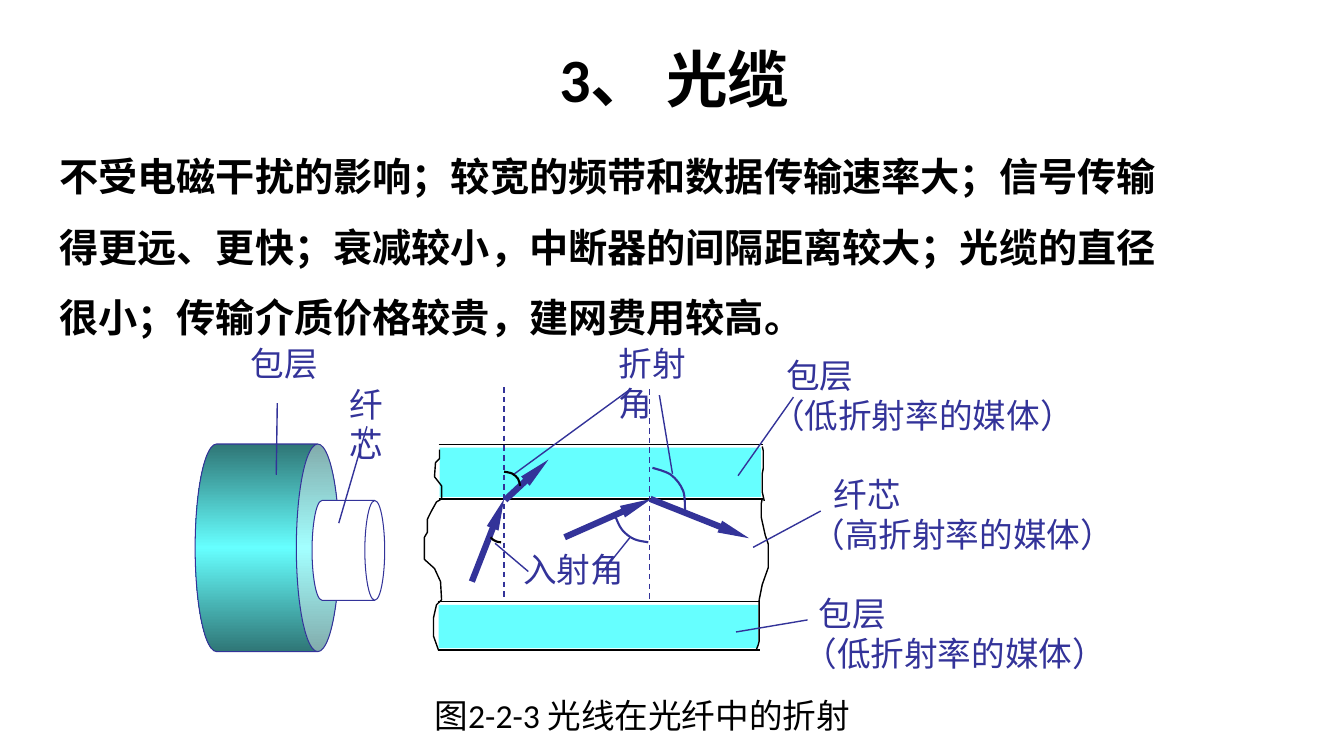
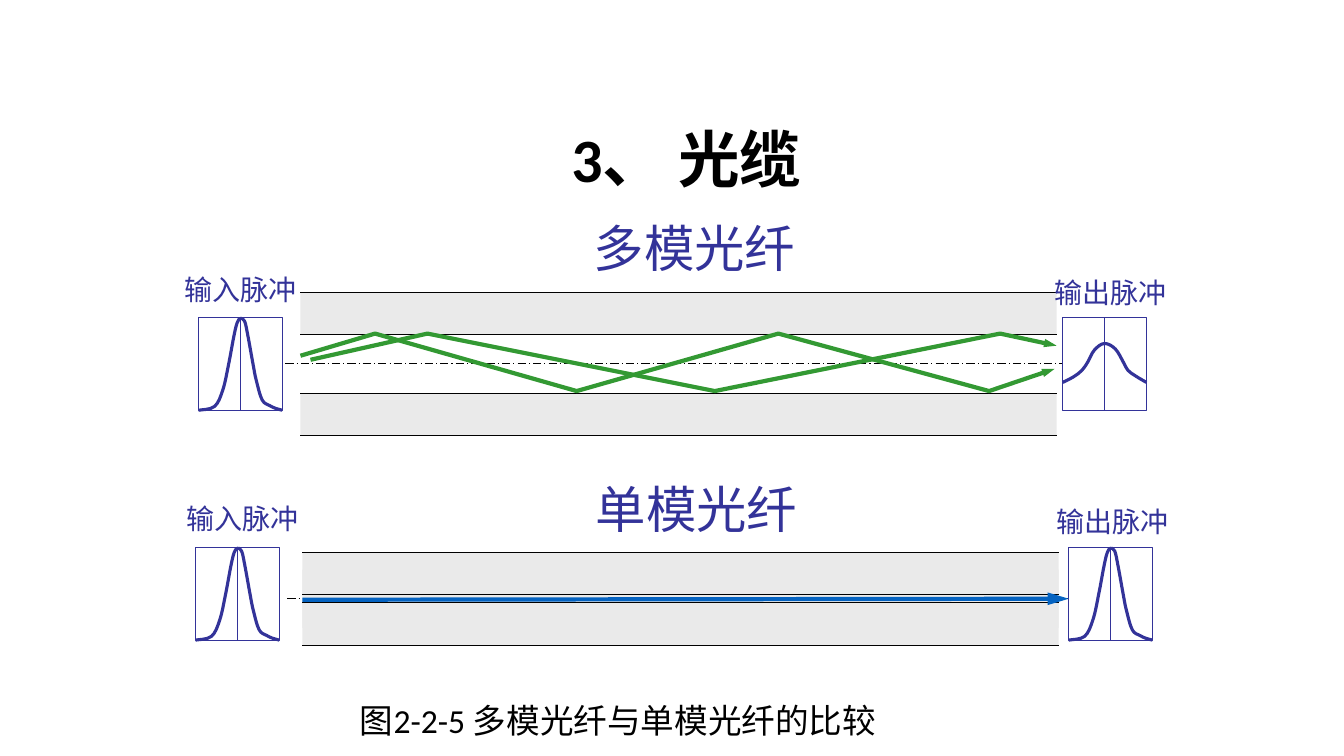
from copy import deepcopy
from dataclasses import dataclass
from math import cos, radians, sin

from lxml import etree
from pptx import Presentation
from pptx.dml.color import RGBColor
from pptx.enum.dml import MSO_LINE
from pptx.enum.shapes import MSO_CONNECTOR, MSO_SHAPE
from pptx.enum.text import MSO_ANCHOR, PP_ALIGN
from pptx.oxml.ns import qn
from pptx.util import Inches, Pt

BLACK = RGBColor(0x00, 0x00, 0x00)
WHITE = RGBColor(0xFF, 0xFF, 0xFF)
INDIGO = RGBColor(0x33, 0x33, 0x99)
CYAN = RGBColor(0x66, 0xFF, 0xFF)
DARK_TEAL = RGBColor(0x2F, 0x76, 0x76)
CLADDING_GREY = RGBColor(0xEA, 0xEA, 0xEA)
RAY_GREEN = RGBColor(0x33, 0x99, 0x33)
RAY_BLUE = RGBColor(0x05, 0x63, 0xC1)

STRAIGHT = MSO_CONNECTOR.STRAIGHT
RECTANGLE, CAN = MSO_SHAPE.RECTANGLE, MSO_SHAPE.CAN
DASH, LONG_DASH_DOT = MSO_LINE.DASH, MSO_LINE.LONG_DASH_DOT
BOTTOM, TOP = MSO_ANCHOR.BOTTOM, MSO_ANCHOR.TOP
CENTER, LEFT = PP_ALIGN.CENTER, PP_ALIGN.LEFT
TITLE_ONLY = 5

# Arrowhead width and length
SLIM_LONG, SLIM, LONG = ("sm", "lg"), ("sm", "med"), ("med", "lg")

HEADING = "3、 光缆"
FEATURES = ("不受电磁干扰的影响；较宽的频带和数据传输速率大；信号传输得更远、更快；"
            "衰减较小，中断器的间隔距离较大；光缆的直径很小；传输介质价格较贵，建网费用较高。")

# Pulse outlines as shares of the pulse frame
NARROW_PULSE = [(0, 1), (.19, .96), (.29, .78), (.36, .5), (.42, .21), (.46, .06), (.5, .01),
                (.55, .04), (.59, .2), (.65, .5), (.69, .68), (.76, .89), (.85, .95),
                (.92, .98), (1, 1)]
WIDE_PULSE = [(0, .7), (.13, .64), (.23, .57), (.3, .48), (.38, .35), (.5, .28), (.63, .34),
              (.73, .49), (.78, .57), (.87, .63), (1, .7)]

# Inches from the corner of the refraction diagram
TORN_EDGES = [
    [(.16, .66), (.16, .75), (.12, .79), (.11, .93), (.18, 1.02), (.18, 1.15), (.13, 1.18),
     (.08, 1.27), (.04, 1.35), (.04, 1.48), (.01, 1.53), (.01, 1.75), (.11, 1.84), (.17, 1.97),
     (.18, 2.15), (.13, 2.2), (.1, 2.33), (.1, 2.51), (.15, 2.65)],
    [(3.36, .63), (3.37, .67), (3.37, .85), (3.36, .9), (3.36, 1.08), (3.38, 1.17)],
    [(3.36, 1.15), (3.35, 1.2), (3.35, 1.33), (3.39, 1.51), (3.42, 1.6), (3.42, 1.83),
     (3.36, 2), (3.33, 2.15)],
    [(3.33, 2.15), (3.33, 2.56), (3.32, 2.6), (3.3, 2.65)]]
NORMALS = [((.8, .04), (.8, 2.15)), ((2.24, .06), (2.24, 2.17))]
LIGHT_RAYS = [((.81, 1.16), (1.24, .76)), ((.48, 1.97), (.8, 1.15)),
              ((1.4, 1.53), (2.26, 1.15)), ((2.25, 1.15), (3.23, 1.54))]
LEADERS = [((2.34, .12), (2.47, .9)), ((.89, .91), (2.04, .07)), ((.71, 1.59), (1.04, 1.87)),
           ((1.77, 1.88), (2.05, 1.53)), ((3.27, 1.63), (3.94, 1.27)),
           ((3.67, .14), (3.12, .92)), ((3.81, 2.35), (3.1, 2.47))]
# Centre, radii, start and end angle, colour
ANGLE_ARCS = [((.8, 1.02), (.16, .14), -90, 0, BLACK), ((.77, 1.48), (.12, .1), 90, 150, BLACK),
              ((2.23, 1.23), (.34, .35), 90, 165, INDIGO),
              ((2.24, 1.2), (.36, .36), -85, 10, INDIGO)]


@dataclass
class Box:
    left: float
    top: float
    width: float
    height: float

    def point(self, x, y):
        """Point at an offset in inches from the corner."""
        return self.left + x, self.top + y

    def inner(self, x, y, width, height):
        return Box(*self.point(x, y), width, height)

    def emu(self):
        return [Inches(value) for value in (self.left, self.top, self.width, self.height)]


def style_line(line, color, width, dash=None, arrow=None):
    line.color.rgb = color
    line.width = Pt(width)
    if dash is not None:
        line.dash_style = dash
    if arrow is not None:
        etree.SubElement(line._get_or_add_ln(), qn("a:tailEnd"), type="triangle",
                         w=arrow[0], len=arrow[1])


def add_line(slide, start, end, color, width, dash=None, arrow=None):
    connector = slide.shapes.add_connector(
        STRAIGHT, *[Inches(value) for value in (*start, *end)])
    style_line(connector.line, color, width, dash, arrow)
    etree.SubElement(connector._element.spPr, qn("a:effectLst"))
    return connector


def bend_segments(shape):
    """Turn the straight segments of an outline into one smooth curve."""
    nodes = shape._element.xpath(".//a:path/a:moveTo/a:pt | .//a:path/a:lnTo/a:pt")
    points = [(int(node.get("x")), int(node.get("y"))) for node in nodes]
    padded = [points[0], *points, points[-1]]
    for node, before, start, end, after in zip(nodes[1:], padded, padded[1:], padded[2:],
                                               padded[3:]):
        segment = node.getparent()
        curve = etree.Element(qn("a:cubicBezTo"))
        controls = ([p + (r - o) / 6 for o, p, r in zip(before, start, end)],
                    [r - (s - p) / 6 for p, r, s in zip(start, end, after)])
        for x, y in (*controls, end):
            etree.SubElement(curve, qn("a:pt"), x=str(round(x)), y=str(round(y)))
        segment.getparent().replace(segment, curve)


def add_outline(slide, points, color, width, arrow=None, smooth=False):
    first, *rest = [(Inches(x), Inches(y)) for x, y in points]
    builder = slide.shapes.build_freeform(*first)
    builder.add_line_segments(rest, close=False)
    shape = builder.convert_to_shape()
    shape.shadow.inherit = False
    shape.fill.background()
    style_line(shape.line, color, width, arrow=arrow)
    if smooth:
        bend_segments(shape)


def add_preset(slide, kind, box, fill, line=None, line_width=0.75):
    shape = slide.shapes.add_shape(kind, *box.emu())
    shape.shadow.inherit = False
    shape.fill.solid()
    shape.fill.fore_color.rgb = fill
    if line is None:
        shape.line.fill.background()
    else:
        style_line(shape.line, line, line_width)
    return shape


def write(frame, lines, size, font, color, bold=False, align=LEFT, spacing=None,
          anchor=TOP, first_indent=0, wrap=True):
    frame.word_wrap = wrap
    frame.vertical_anchor = anchor
    frame.text = "\n".join(lines)
    for paragraph in frame.paragraphs:
        paragraph.alignment = align
        paragraph.line_spacing = spacing
        paragraph.font.size = Pt(size)
        paragraph.font.name = font
        paragraph.font.bold = bold
        paragraph.font.color.rgb = color
    if first_indent:
        frame.paragraphs[0]._p.get_or_add_pPr().set("marL", str(Inches(first_indent)))


def add_text(slide, box, lines, size=24, font="Arial", color=INDIGO, **options):
    textbox = slide.shapes.add_textbox(*box.emu())
    write(textbox.text_frame, lines, size, font, color, **options)


def add_figure_slide(presentation, caption, caption_box, heading_box):
    """Slide with a bold heading and a figure caption in the title placeholder."""
    slide = presentation.slides.add_slide(presentation.slide_layouts[TITLE_ONLY])
    title = slide.shapes.title
    title.left, title.top, title.width, title.height = caption_box.emu()
    write(title.text_frame, [caption], 24, "Calibri", BLACK,
          align=CENTER, spacing=0.9, anchor=BOTTOM)
    add_text(slide, heading_box, [HEADING], 44, "Calibri", BLACK, bold=True,
             align=CENTER, spacing=0.9, anchor=BOTTOM)
    return slide


def draw_cladding(slide, box):
    """Cyan layer between two black boundary lines."""
    for y in (0, box.height):
        add_line(slide, box.point(0, y), box.point(box.width, y), BLACK, 1)
    add_preset(slide, RECTANGLE, box.inner(.01, .03, box.width - .03, box.height - .05), CYAN)


def draw_angle_arc(slide, box, center, radii, start, end, color):
    steps = 3
    angles = [radians(start + (end - start) * step / steps) for step in range(steps + 1)]
    points = [box.point(center[0] + radii[0] * cos(angle), center[1] + radii[1] * sin(angle))
              for angle in angles]
    add_outline(slide, points, color, 1.5, smooth=True)


def draw_refraction(slide, box):
    draw_cladding(slide, box.inner(.15, .61, 3.22, .54))
    draw_cladding(slide, box.inner(.14, 2.17, 3.2, .48))
    for edge in TORN_EDGES:
        add_outline(slide, [box.point(*point) for point in edge], BLACK, 1)
    for lines, width, dash, arrow in ((NORMALS, 1, DASH, None), (LIGHT_RAYS, 4.5, None, SLIM_LONG),
                                      (LEADERS, 1, None, None)):
        for start, end in lines:
            add_line(slide, box.point(*start), box.point(*end), INDIGO, width, dash, arrow)
    for arc in ANGLE_ARCS:
        draw_angle_arc(slide, box, *arc)
    add_text(slide, box.inner(1.84, -.45, 1.18, .5), ["折射角"])
    add_text(slide, box.inner(.89, 1.6, 1.22, .5), ["入射角"])
    for x, y, width, indent, name, medium in (
            (3.35, -.33, 3.25, .15, "包层", "（低折射率的媒体）"),
            (3.75, .85, 3.48, .22, "纤芯", "（高折射率的媒体）"),
            (3.67, 2.03, 3.25, .15, "包层", "（低折射率的媒体）")):
        add_text(slide, box.inner(x, y, width, .9), [name, medium], first_indent=indent)


def draw_cable(slide, box):
    """Cable end seen from the side: cladding cylinder with the core standing out."""
    cladding = add_preset(slide, CAN, box.inner(.02, 1.37, 2.06, 1.43), CYAN, INDIGO)
    cladding.fill.gradient()
    cladding.fill.gradient_angle = 0
    stop_list = cladding._element.xpath(".//a:gsLst")[0]
    stop_list.insert(1, deepcopy(stop_list[0]))
    for stop, position, color in zip(cladding.fill.gradient_stops, (0, .5, 1),
                                     (DARK_TEAL, CYAN, DARK_TEAL)):
        stop.position = position
        stop.color.rgb = color
    core = add_preset(slide, CAN, box.inner(1.36, 1.75, .99, .72), WHITE, INDIGO)
    for can, depth in ((cladding, .298), (core, .273)):
        can.rotation = 90
        can.adjustments[0] = depth
    add_text(slide, box.inner(.79, 0, .87, .5), ["包层"], wrap=False)
    add_text(slide, box.inner(1.77, .41, .76, .9), ["纤芯"])
    add_line(slide, box.point(1.15, .65), box.point(1.14, 1.36), INDIGO, 1)
    add_line(slide, box.point(2.04, .88), box.point(1.76, 1.84), INDIGO, 1)


def draw_pulse(slide, box, outline):
    frame = add_preset(slide, RECTANGLE, box, WHITE, INDIGO, 0.5)
    middle = box.width / 2
    axis = add_line(slide, box.point(middle, 0), box.point(middle, box.height), INDIGO, 0.5)
    axis.begin_connect(frame, 0)
    axis.end_connect(frame, 2)
    points = [box.point(x * box.width, y * box.height) for x, y in outline]
    add_outline(slide, points, INDIGO, 2.25, smooth=True)


def draw_fibre(slide, box, name, core_fill, pulse_top, gaps, output_pulse):
    """Fibre in section, with its name above and a pulse at each end."""
    layer = .42
    if core_fill is not None:
        add_preset(slide, RECTANGLE, box.inner(0, .17, box.width, .58), core_fill)
    for top in (0, box.height - layer):
        add_preset(slide, RECTANGLE, box.inner(0, top, box.width, layer), CLADDING_GREY)
        for y in (top, top + layer):
            add_line(slide, box.point(0, y), box.point(box.width, y), BLACK, 0.75)
    middle = box.height / 2
    add_line(slide, box.point(-.15, middle), box.point(box.width + .12, middle),
             BLACK, 0.75, LONG_DASH_DOT)
    add_text(slide, box.inner(2.81, -.79, 2.2, .7), [name], 36, "Karla", wrap=False)
    pulse_width, pulse_height = .83, .92
    input_gap, output_gap = gaps
    for label, label_x, label_rise, pulse_x, outline in (
            ("输入脉冲", -1.25, .5, -input_gap - pulse_width, NARROW_PULSE),
            ("输出脉冲", box.width - .12, .47, box.width + output_gap, output_pulse)):
        draw_pulse(slide, box.inner(pulse_x, pulse_top, pulse_width, pulse_height), outline)
        add_text(slide, box.inner(label_x, pulse_top - label_rise, 1.31, .43), [label],
                 20, "Noto Sans CJK SC", wrap=False)


def build_refraction_slide(presentation):
    slide = add_figure_slide(presentation, "图2-2-3 光线在光纤中的折射",
                             Box(.62, 6.68, 11.5, .67), Box(.94, -.25, 11.5, 1.45))
    draw_refraction(slide, Box(4.2, 3.8, 7.2, 2.9))
    draw_cable(slide, Box(1.6, 3.35, 2.5, 3.2))
    add_text(slide, Box(.49, 1.23, 11.12, 2.22), [FEATURES], 28, "Noto Sans CJK SC", BLACK,
             bold=True, spacing=1.5)


def build_comparison_slide(presentation):
    slide = add_figure_slide(presentation, "图2-2-5 多模光纤与单模光纤的比较",
                             Box(.38, 6.73, 11.5, .67), Box(1.06, .54, 11.5, 1.45))
    multimode = Box(2.98, 2.9, 7.5, 1.42)
    single_mode = Box(3, 5.48, 7.5, .92)
    draw_fibre(slide, multimode, "多模光纤", None, .25, (.18, .06), WIDE_PULSE)
    draw_fibre(slide, single_mode, "单模光纤", CLADDING_GREY, -.05, (.23, .1), NARROW_PULSE)
    upper, lower = .41, .98
    for ray in ([(.1, .67), (1.26, upper), (4.11, lower), (6.94, upper), (7.5, .53)],
                [(0, .63), (.74, upper), (2.74, lower), (4.74, upper), (6.83, lower),
                 (7.48, .76)]):
        add_outline(slide, [multimode.point(*point) for point in ray], RAY_GREEN, 3, SLIM)
    add_line(slide, single_mode.point(0, .47), single_mode.point(7.6, .46), RAY_BLUE, 3,
             arrow=LONG)


def main():
    presentation = Presentation()
    presentation.slide_width, presentation.slide_height = Inches(13.33), Inches(7.5)
    build_refraction_slide(presentation)
    build_comparison_slide(presentation)
    presentation.save("out.pptx")


if __name__ == "__main__":
    main()
